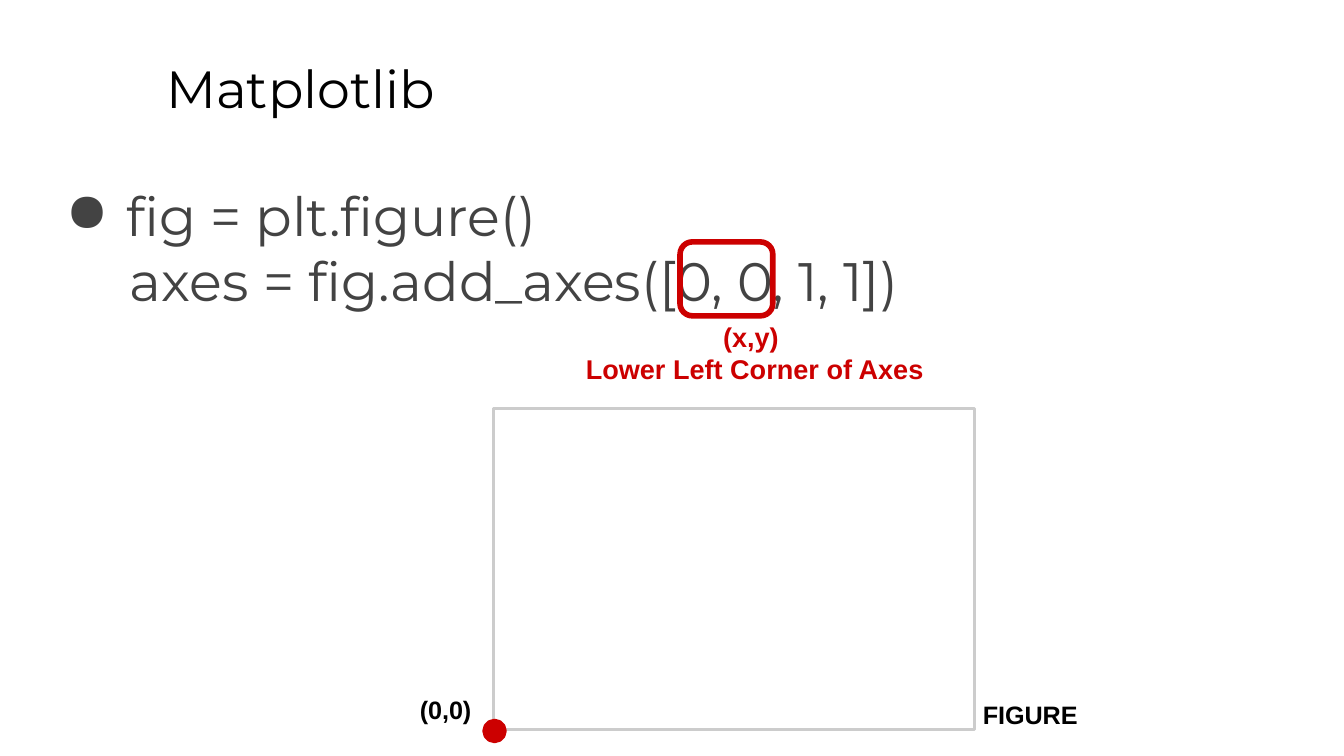
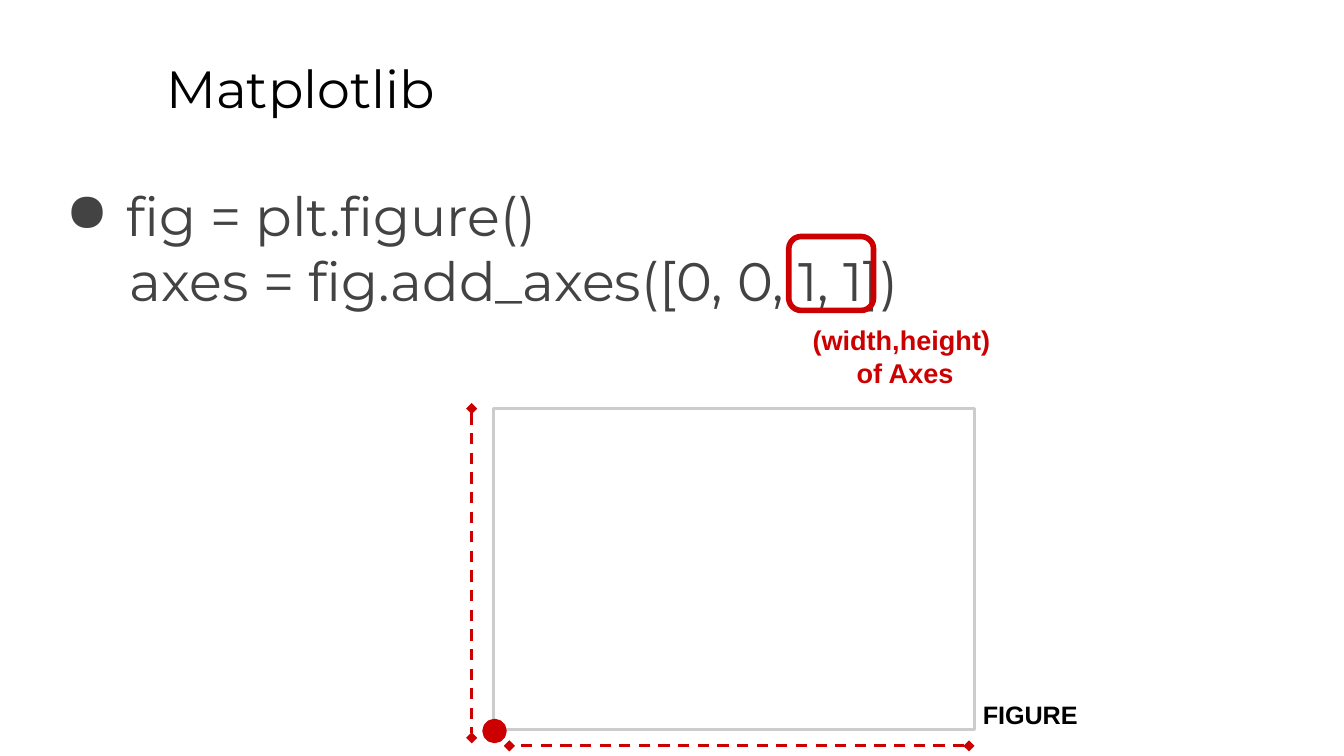
from lxml import etree
from pptx import Presentation
from pptx import util as u
from pptx.dml import color
from pptx.enum import dml, shapes, text
from pptx.oxml import ns

Pt = u.Pt
BLACK, GREY, SILVER, RED = "000000", "434343", "CCCCCC", "CC0000"
HEADING, PLAIN = "Montserrat", "Arial"
FRAME = (264.24, 218.88, 257.76, 172.08)
LABEL_TOP, LABEL_WIDTH, LABEL_HEIGHT = 365, 98.6, 25.2
CODE = ["fig = plt.figure()", "axes = fig.add_axes([0, 0, 1, 1])"]


def rgb(value):
    """Return the colour for a hex string."""
    return color.RGBColor.from_string(value)


def add_text(page, place, lines, font, size, ink, bold=False, centred=True):
    """Add a text box with one paragraph per line and return its paragraphs."""
    box = page.shapes.add_textbox(*map(Pt, place))
    frame = box.text_frame
    frame.word_wrap = True
    frame.margin_left = frame.margin_right = Pt(7.2)
    frame.margin_top = frame.margin_bottom = Pt(7.2)
    for number, line in enumerate(lines):
        para = frame.paragraphs[0] if number == 0 else frame.add_paragraph()
        para.alignment = text.PP_ALIGN.CENTER if centred else text.PP_ALIGN.LEFT
        span = para.add_run()
        span.text = line
        span.font.name, span.font.size, span.font.bold = font, Pt(size), bold
        span.font.color.rgb = rgb(ink)
    return frame.paragraphs


deck = Presentation()
deck.slide_width, deck.slide_height = Pt(720), Pt(405)

# What differs: the ringed arguments, their caption, the origin label, the spans
slides = [
    {"ring": (364.3, 129.6, 49.7, 39.6),
     "caption": ["(x,y) ", "Lower Left Corner of Axes"],
     "caption_at": (298.8, 164.2), "origin": ["(0,0)"], "spans": []},
    {"ring": (422.6, 126.7, 45.4, 39.6),
     "caption": ["(width,height) ", "of Axes"],
     "caption_at": (379.4, 166.3), "origin": [],
     "spans": [(252.7, 218.9, 252.7, 395.3), (519.1, 399.6, 272.9, 399.6)]},
]

for content in slides:
    page = deck.slides.add_slide(deck.slide_layouts[6])
    add_text(page, (82, 23, 613.4, 45.4), ["Matplotlib"], HEADING, 28, BLACK,
             centred=False)

    # Code: a bulleted line and an indented line below it
    first, second = add_text(page, (24.5, 90.7, 684, 269.3), CODE, HEADING, 29,
                             GREY, centred=False)
    bulleted, indented = first._p.get_or_add_pPr(), second._p.get_or_add_pPr()
    bulleted.set("marL", str(Pt(36)))
    bulleted.set("indent", str(Pt(-32.4)))
    tint = etree.SubElement(bulleted, ns.qn("a:buClr"))
    etree.SubElement(tint, ns.qn("a:srgbClr")).set("val", GREY)
    etree.SubElement(bulleted, ns.qn("a:buChar")).set("char", "●")
    indented.set("marL", str(Pt(38)))
    indented.set("indent", "0")

    # Figure frame, ring around the arguments and dot at the origin
    for kind, place, fill, line, weight in [
        (shapes.MSO_SHAPE.RECTANGLE, FRAME, None, SILVER, 1.5),
        (shapes.MSO_SHAPE.ROUNDED_RECTANGLE, content["ring"], None, RED, 3),
        (shapes.MSO_SHAPE.OVAL, (259.9, 386.6, 10.1, 10.1), RED, RED, 3),
    ]:
        shape = page.shapes.add_shape(kind, *map(Pt, place))
        shape.shadow.inherit = False
        if fill:
            shape.fill.solid()
            shape.fill.fore_color.rgb = rgb(fill)
        else:
            shape.fill.background()
        shape.line.color.rgb = rgb(line)
        shape.line.width = Pt(weight)

    # Dashed measures of height and width
    for ends in content["spans"]:
        measure = page.shapes.add_connector(shapes.MSO_CONNECTOR.STRAIGHT,
                                            *map(Pt, ends))
        measure.line.color.rgb = rgb(RED)
        measure.line.width = Pt(1.5)
        measure.line.dash_style = dml.MSO_LINE.DASH
        outline = measure.line._get_or_add_ln()
        for end in ("a:headEnd", "a:tailEnd"):
            etree.SubElement(outline, ns.qn(end)).set("type", "diamond")
        etree.SubElement(measure._element.spPr, ns.qn("a:effectLst"))

    # Labels
    figure = add_text(page, (502.6, LABEL_TOP, LABEL_WIDTH, LABEL_HEIGHT),
                      ["FIGURE"], PLAIN, 13.5, BLACK, bold=True)
    figure[0].line_spacing = 1.15
    if content["origin"]:
        add_text(page, (189.4, LABEL_TOP, LABEL_WIDTH, LABEL_HEIGHT),
                 content["origin"], PLAIN, 13.5, BLACK, bold=True)
    add_text(page, (*content["caption_at"], 211, LABEL_HEIGHT),
             content["caption"], PLAIN, 14.5, RED, bold=True)

deck.save("out.pptx")
